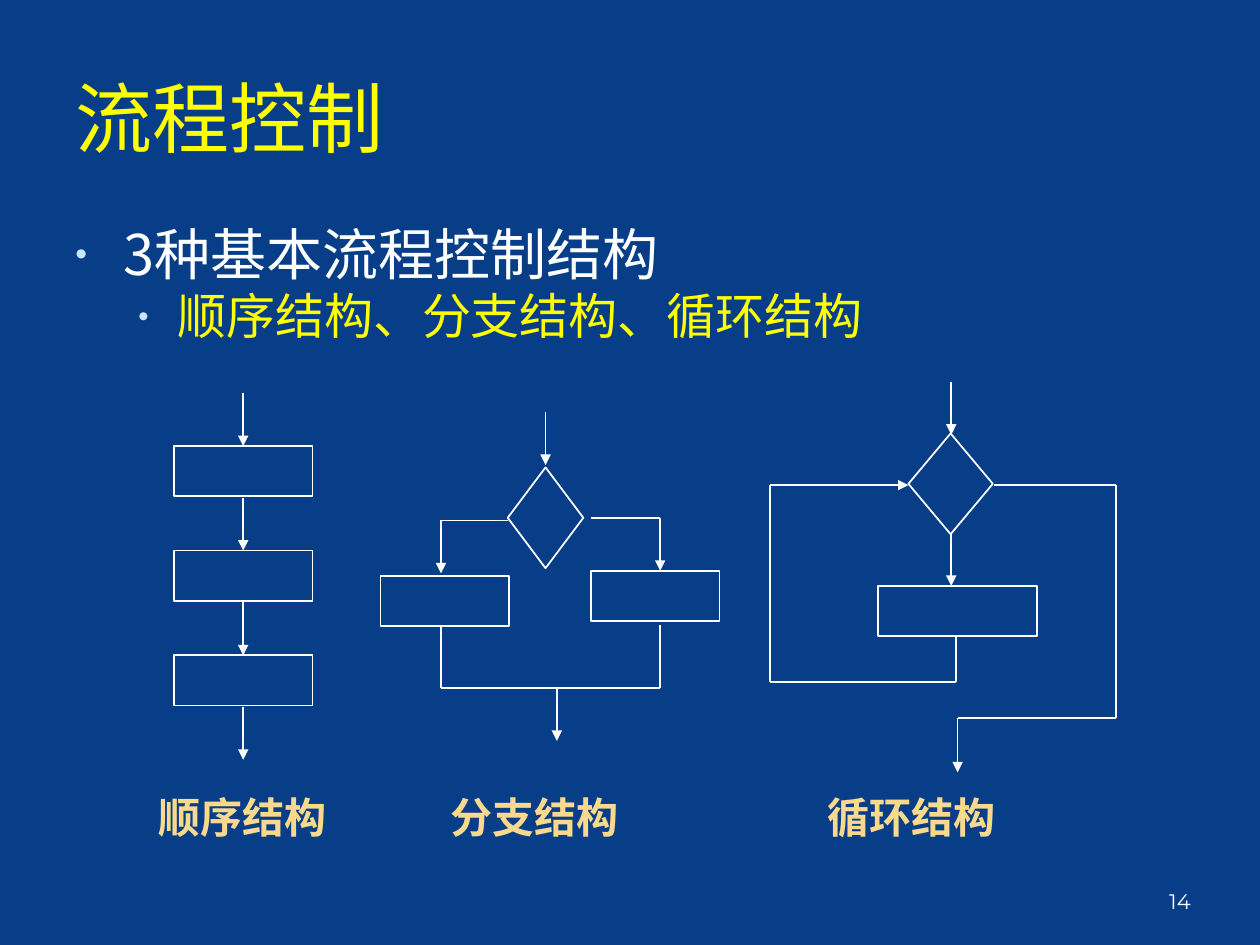
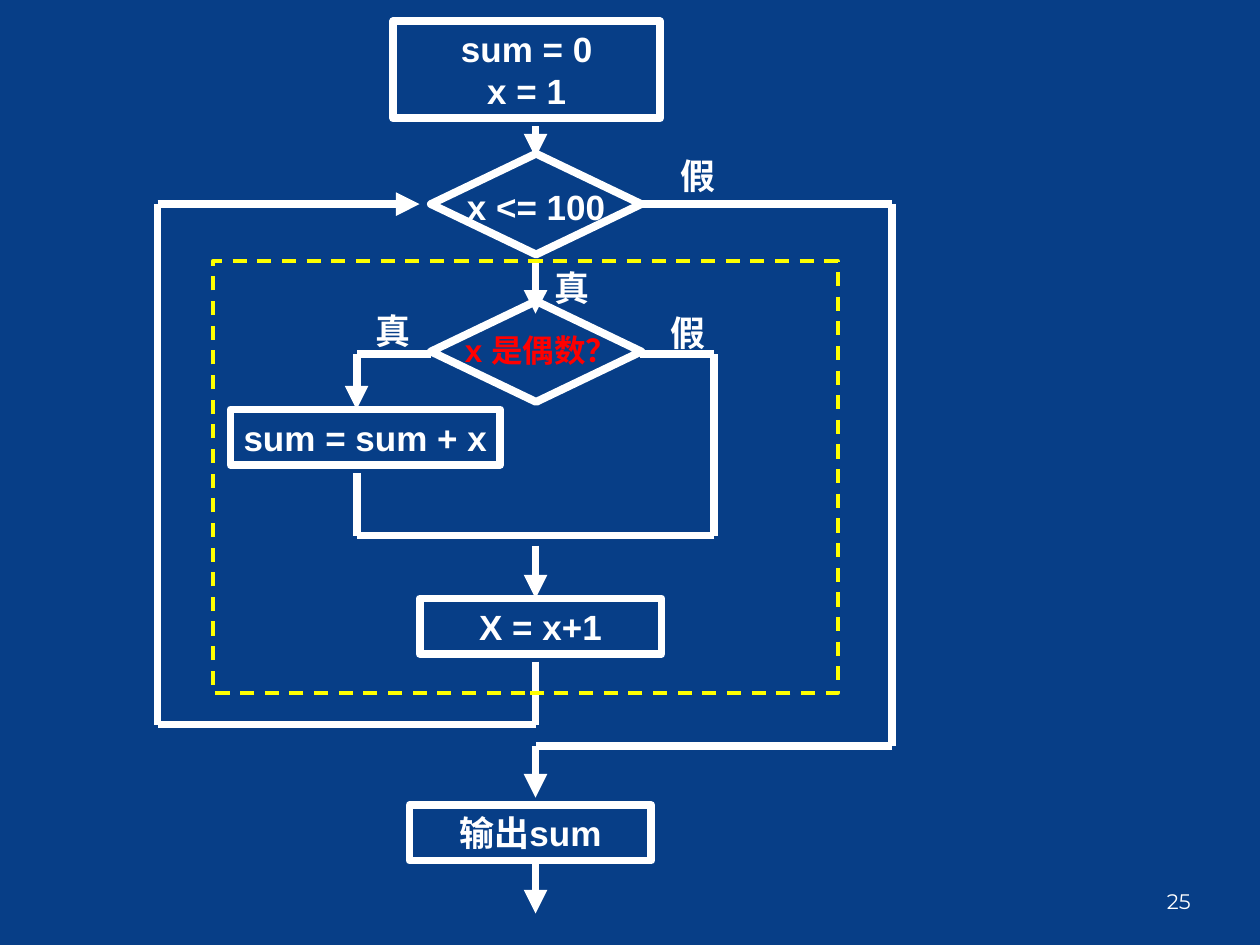
import pptx
import pptx.dml.color
import pptx.enum.dml
import pptx.enum.shapes
import pptx.enum.text
import pptx.oxml.ns
import pptx.util
from lxml import etree

Inches, Pt = pptx.util.Inches, pptx.util.Pt
qn = pptx.oxml.ns.qn
SHAPE = pptx.enum.shapes.MSO_SHAPE
ALIGN = pptx.enum.text.PP_ALIGN
ANCHOR = pptx.enum.text.MSO_ANCHOR

NAVY, WHITE, YELLOW = "073E87", "FFFFFF", "FFFF00"
RED, GOLD, PALE = "FF0000", "F9D98C", "C6E7FC"
CHINESE = "Noto Sans CJK SC"


def colour(value):
    """Turn a hex string into a colour."""
    return pptx.dml.color.RGBColor.from_string(value)


class Style:
    """Holds the shared style and draws on the current slide."""

    def __init__(self, deck):
        """Set the slide size and the background once for the deck."""
        self.deck = deck
        deck.slide_width, deck.slide_height = Inches(10), Inches(7.5)
        fill = deck.slide_master.background.fill
        fill.solid()
        fill.fore_color.rgb = colour(NAVY)

    def new_page(self, number, layout, weight):
        """Start a slide with its number and its line weight."""
        self.page = self.deck.slides.add_slide(self.deck.slide_layouts[layout])
        self.canvas = self.page.shapes
        self.weight = weight
        self.text(str(number), 7.17, 6.95, 2.33, 0.4, size=12,
                  font="Montserrat", align=ALIGN.RIGHT, inset=0.05)

    def start_group(self):
        """Send the following elements to a new group."""
        self.canvas = self.page.shapes.add_group_shape().shapes

    def end_group(self):
        """Send the following elements to the slide itself."""
        self.canvas = self.page.shapes

    def format(self, paragraph, size, font, ink, bold=False, align=ALIGN.LEFT):
        """Format one paragraph, with the Chinese font beside the Latin one."""
        paragraph.alignment = align
        paragraph.font.size = Pt(size)
        paragraph.font.name = font
        paragraph.font.bold = bold
        paragraph.font.color.rgb = colour(ink)
        properties = paragraph._p.pPr.find(qn("a:defRPr"))
        properties.find(qn("a:latin")).addnext(
            etree.Element(qn("a:ea"), typeface=CHINESE))

    def title(self, words):
        """Place and format the title placeholder."""
        box = self.page.shapes.title
        box.left, box.top = Inches(0.5), Inches(0.3)
        box.width, box.height = Inches(8.5), Inches(1.25)
        frame = box.text_frame
        frame.text = words
        frame.vertical_anchor = ANCHOR.MIDDLE
        self.format(frame.paragraphs[0], 44, "Lato", YELLOW)

    def bullets(self, items):
        """Add the body text; items are (words, level, size, ink, indent, hang)."""
        box = self.canvas.add_textbox(Inches(0.5), Inches(1.75), Inches(9), Inches(1.3))
        frame = box.text_frame
        frame.word_wrap = True
        for index, (words, level, size, ink, indent, hang) in enumerate(items):
            para = frame.add_paragraph() if index else frame.paragraphs[0]
            para.text, para.level = words, level
            para.line_spacing, para.space_before = 0.9, Pt(3)
            self.format(para, size, CHINESE, ink)
            properties = para._p.pPr
            properties.set("marL", str(Inches(indent)))
            properties.set("indent", str(-Inches(hang)))
            bullet_colour = etree.Element(qn("a:buClr"))
            etree.SubElement(bullet_colour, qn("a:srgbClr"), val=PALE)
            marks = [bullet_colour,
                     etree.Element(qn("a:buSzPct"), val="60000"),
                     etree.Element(qn("a:buFont"), typeface="Arial"),
                     etree.Element(qn("a:buChar"), char="•")]
            for mark in marks:
                properties.find(qn("a:defRPr")).addprevious(mark)

    def text(self, words, left, top, width, height, size=20, font="Arial",
             ink=WHITE, bold=False, align=ALIGN.CENTER, inset=0.1):
        """Add a one-line text box."""
        box = self.canvas.add_textbox(Inches(left), Inches(top),
                                      Inches(width), Inches(height))
        frame = box.text_frame
        frame.word_wrap = True
        frame.vertical_anchor = ANCHOR.MIDDLE
        frame.margin_left = frame.margin_right = Inches(inset)
        frame.text = words
        self.format(frame.paragraphs[0], size, font, ink, bold, align)

    def node(self, left, top, width, height, words="", kind=SHAPE.RECTANGLE):
        """Add an outlined shape, with bold centred text if there is any."""
        shape = self.canvas.add_shape(kind, Inches(left), Inches(top),
                                      Inches(width), Inches(height))
        shape.shadow.inherit = False
        shape.fill.background()
        shape.line.color.rgb = colour(WHITE)
        shape.line.width = Pt(self.weight)
        if words:
            frame = shape.text_frame
            frame.word_wrap = False
            frame.text = words
            for para in frame.paragraphs:
                self.format(para, 20, "Arial", WHITE, True, ALIGN.CENTER)
        return shape

    def diamond(self, left, top, width, height):
        """Add a decision shape."""
        self.node(left, top, width, height, kind=SHAPE.DIAMOND)

    def route(self, *points, arrow=False):
        """Join the points with straight lines, the last one an arrow if asked."""
        for start, end in zip(points, points[1:]):
            line = self.canvas.add_connector(
                pptx.enum.shapes.MSO_CONNECTOR.STRAIGHT,
                *(Inches(length) for length in start + end))
            line.line.color.rgb = colour(WHITE)
            line.line.width = Pt(self.weight)
            etree.SubElement(line._element.spPr, qn("a:effectLst"))
        if arrow:
            etree.SubElement(line.line._get_or_add_ln(), qn("a:tailEnd"), type="triangle")

    def arrow_down(self, x, top, length=0.42):
        """Add a vertical arrow."""
        self.route((x, top), (x, top + length), arrow=True)


def draw_sequence(style):
    """Draw three steps in a row from top to bottom."""
    style.start_group()
    step = 0.83
    for index in range(4):
        style.arrow_down(1.93, 3.12 + index * step)
        if index < 3:
            style.node(1.38, 3.54 + index * step, 1.1, 0.4)
    style.end_group()


def draw_branch(style):
    """Draw a decision with two ways that meet again."""
    style.start_group()
    style.diamond(4.03, 3.71, 0.6, 0.8)
    style.arrow_down(4.33, 3.27)
    style.route((4.03, 4.13), (3.5, 4.13), (3.5, 4.55), arrow=True)
    style.route((4.69, 4.11), (5.24, 4.11), (5.24, 4.53), arrow=True)
    style.node(3.02, 4.57, 1.02, 0.4)
    style.node(4.69, 4.53, 1.02, 0.4)
    style.route((3.5, 4.96), (3.5, 5.46), (5.24, 5.46), (5.24, 4.96))
    style.arrow_down(4.42, 5.46)
    style.end_group()


def draw_loop(style):
    """Draw a decision whose step leads back to it."""
    style.start_group()
    style.diamond(7.21, 3.44, 0.67, 0.8)
    style.arrow_down(7.55, 3.03)
    style.arrow_down(7.55, 4.23)
    style.node(6.97, 4.65, 1.26, 0.4)
    style.route((7.59, 5.04), (7.59, 5.41), (6.11, 5.41), (6.11, 3.85),
                (7.21, 3.85), arrow=True)
    style.route((7.89, 3.85), (8.86, 3.85), (8.86, 5.7), (7.6, 5.7),
                (7.6, 6.13), arrow=True)
    style.end_group()


def control_slide(style):
    """Build the slide on the three control structures."""
    style.new_page(14, layout=5, weight=1)
    style.title("流程控制")
    style.bullets([("3种基本流程控制结构", 0, 32, WHITE, 0.38, 0.38),
                   ("顺序结构、分支结构、循环结构", 1, 28, YELLOW, 0.81, 0.31)])
    draw_sequence(style)
    draw_branch(style)
    draw_loop(style)
    for words, left in (("顺序结构", 1.16), ("分支结构", 3.48), ("循环结构", 6.47)):
        style.text(words, left, 6.27, 1.92, 0.42, size=24, font=CHINESE,
                   ink=GOLD, bold=True, align=ALIGN.LEFT)


def sum_slide(style):
    """Build the flow chart that adds up the even numbers."""
    style.new_page(25, layout=6, weight=4.5)
    axis = 4.25
    style.start_group()
    style.node(3.12, 0.17, 2.12, 0.77, "sum = 0\nx = 1")
    style.arrow_down(axis, 1, 0.25)

    # Outer loop
    style.diamond(3.42, 1.22, 1.67, 0.8)
    style.text("x <= 100", 3.42, 1.42, 1.67, 0.44, bold=True)
    style.arrow_down(axis, 2.07)
    style.route((axis, 5.25), (axis, 5.75), (1.25, 5.75), (1.25, 1.62),
                (3.33, 1.62), arrow=True)
    style.route((5.08, 1.62), (7.08, 1.62), (7.08, 5.92), (axis, 5.92),
                (axis, 6.33), arrow=True)

    # Inner branch
    style.diamond(3.42, 2.39, 1.67, 0.8)
    style.text("x 是偶数？", 3.46, 2.58, 1.67, 0.4, size=18, ink=RED, bold=True)
    style.route((3.42, 2.81), (2.83, 2.81), (2.83, 3.25), arrow=True)
    style.node(1.83, 3.25, 2.14, 0.44, "sum = sum + x")
    style.route((5.08, 2.81), (5.67, 2.81), (5.67, 4.25), (2.83, 4.25), (2.83, 3.75))
    style.arrow_down(axis, 4.33)
    style.node(3.33, 4.75, 1.92, 0.44, "X = x+1")

    # Output
    style.node(3.25, 6.39, 1.92, 0.44, "输出sum")
    style.arrow_down(axis, 6.83)

    for words, left, top in (("真", 4.25, 2.06), ("真", 2.83, 2.4),
                             ("假", 5.17, 2.42), ("假", 5.25, 1.17)):
        style.text(words, left, top, 0.58, 0.44, bold=True)
    style.end_group()

    loop_body = style.node(1.69, 2.07, 4.96, 3.43)
    loop_body.line.color.rgb = colour(YELLOW)
    loop_body.line.width = Pt(2)
    loop_body.line.dash_style = pptx.enum.dml.MSO_LINE.DASH


deck = pptx.Presentation()
style = Style(deck)
control_slide(style)
sum_slide(style)
deck.save("out.pptx")
